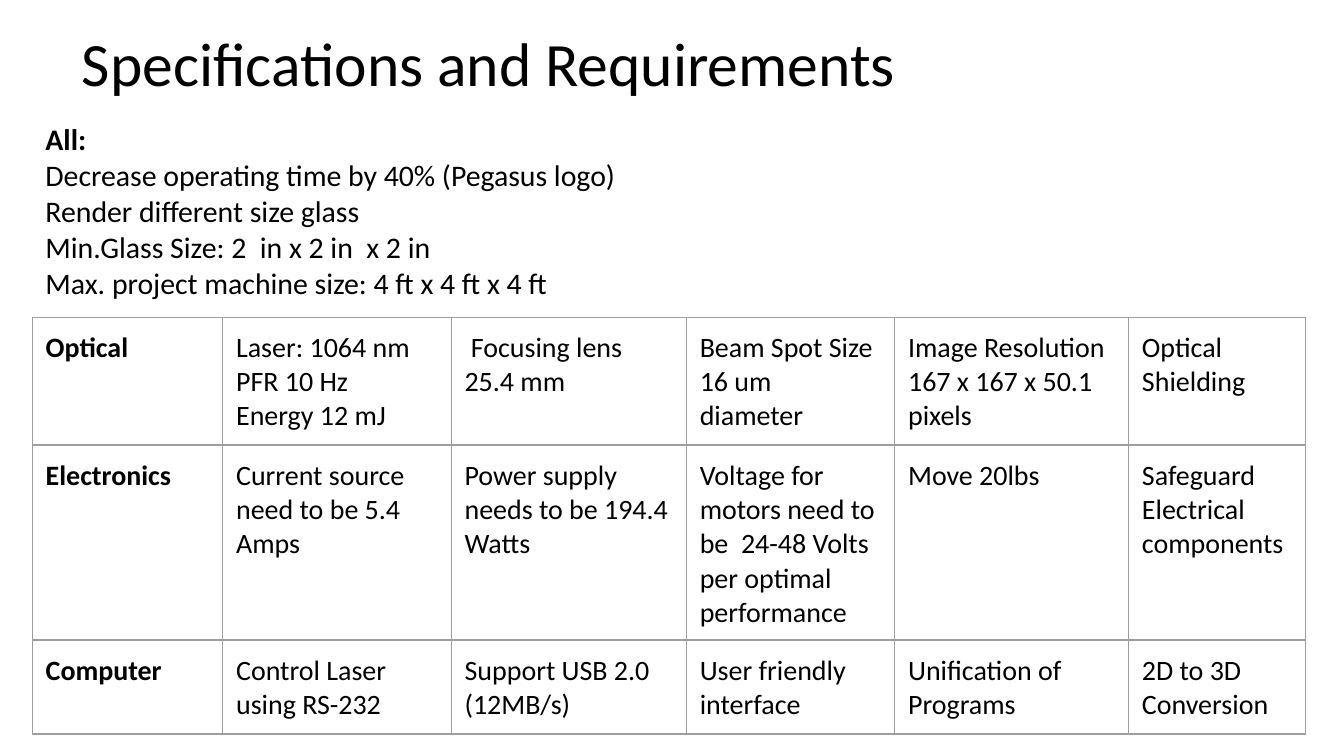
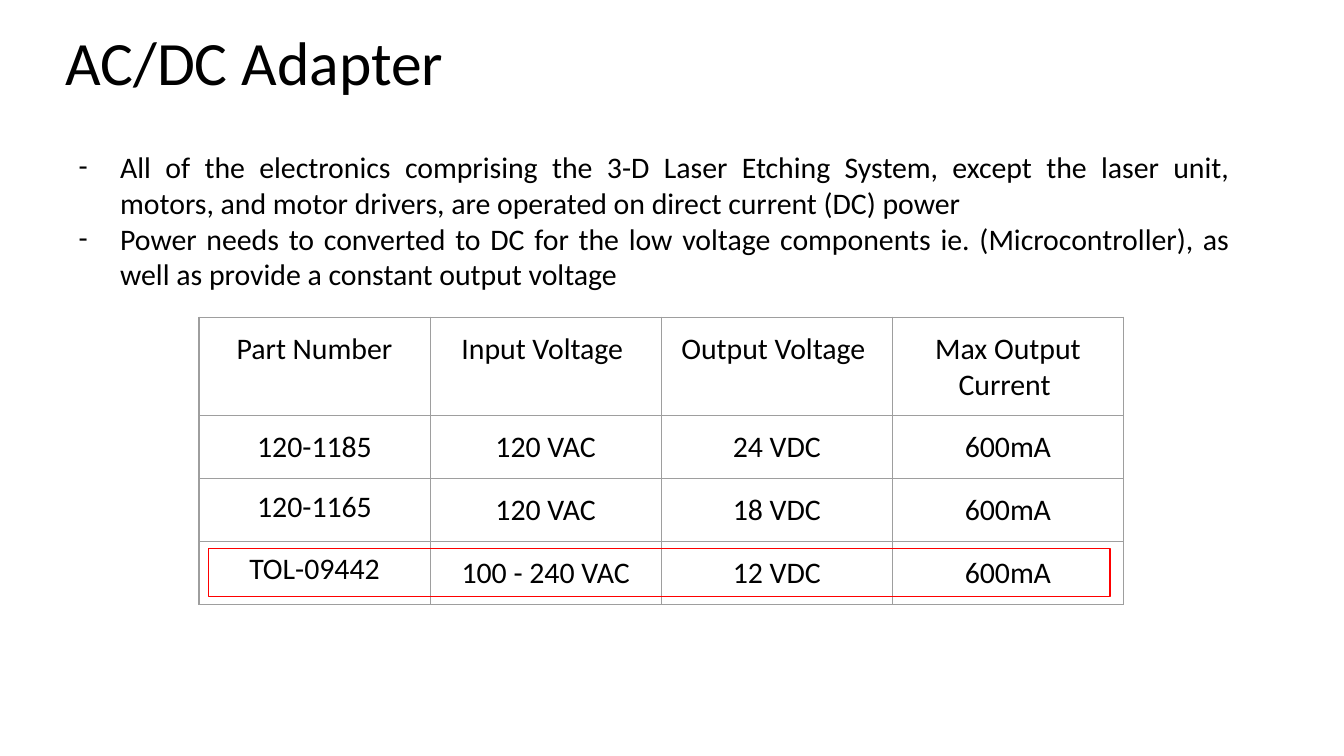
from lxml import etree
from pptx import Presentation
from pptx import util as u
from pptx.dml import color
from pptx.enum import shapes, text
from pptx.oxml import ns

FONT = "Calibri"
INK = "000000"
GRID = "9E9E9E"
HIGHLIGHT = "FF0000"
WIDE_INSET = 7.2
SLIM_INSET = 5.4
TABLE_TOP = 170

SHARED_REQUIREMENTS = [
    "All:",
    "Decrease operating time by 40% (Pegasus logo)",
    "Render different size glass",
    "Min.Glass Size: 2  in x 2 in  x 2 in",
    "Max. project machine size: 4 ft x 4 ft x 4 ft",
]
SPECIFICATIONS = [
    ["Optical", "Laser: 1064 nm\vPFR 10 Hz\vEnergy 12 mJ", " Focusing lens\n25.4 mm",
     "Beam Spot Size\v16 um diameter", "Image Resolution 167 x 167 x 50.1 pixels",
     "Optical Shielding"],
    ["Electronics", "Current source need to be 5.4 Amps",
     "Power supply needs to be 194.4 Watts",
     "Voltage for motors need to be  24-48 Volts per optimal performance",
     "Move 20lbs", "Safeguard Electrical components"],
    ["Computer", "Control Laser using RS-232", "Support USB 2.0 (12MB/s)",
     "User friendly interface", "Unification of Programs", "2D to 3D Conversion"],
]
POWER_NOTES = [
    "All of the electronics comprising the 3-D Laser Etching System, except the laser unit, "
    "motors, and motor drivers, are operated on direct current (DC) power",
    "Power needs to converted to DC for the low voltage components ie. (Microcontroller), "
    "as well as provide a constant output voltage ",
]
ADAPTERS = [
    ["Part Number", "Input Voltage ", "Output Voltage ", "Max Output Current "],
    ["120-1185", "120 VAC", "24 VDC", "600mA"],
    ["120-1165", "120 VAC", "18 VDC", "600mA"],
    ["TOL-09442", "100 - 240 VAC", "12 VDC", "600mA"],
]


def rgb(code):
    """Return the colour for a hex string."""
    return color.RGBColor.from_string(code)


def set_insets(holder, inset):
    """Give a text frame or a cell the same margin on every side."""
    holder.margin_left = holder.margin_right = u.Pt(inset)
    holder.margin_top = holder.margin_bottom = u.Pt(inset)


def style_paragraph(paragraph, size, bold=False, align=text.PP_ALIGN.LEFT):
    """Set the alignment of a paragraph and the font of its runs."""
    paragraph.alignment = align
    for run in paragraph.runs:
        run.font.name = FONT
        run.font.size = u.Pt(size)
        run.font.bold = bold
        run.font.color.rgb = rgb(INK)


def add_text(slide, box, lines, size, inset, align=text.PP_ALIGN.LEFT):
    """Add a wrapped text box with one paragraph per line and return its frame."""
    frame = slide.shapes.add_textbox(*map(u.Pt, box)).text_frame
    frame.word_wrap = True
    set_insets(frame, inset)
    frame.text = "\n".join(lines)
    for paragraph in frame.paragraphs:
        style_paragraph(paragraph, size, align=align)
    return frame


def add_title(slide, box, wording):
    """Add a slide title."""
    title = add_text(slide, box, [wording], 33, SLIM_INSET, text.PP_ALIGN.CENTER)
    title.vertical_anchor = text.MSO_ANCHOR.MIDDLE
    title.paragraphs[0].line_spacing = 0.9


def add_dash(paragraph):
    """Give a paragraph a hanging dash as its bullet."""
    properties = paragraph._p.get_or_add_pPr()
    properties.set("marL", str(u.Pt(40.3)))
    properties.set("indent", str(u.Pt(-22.3)))
    bullet_color = etree.SubElement(properties, ns.qn("a:buClr"))
    etree.SubElement(bullet_color, ns.qn("a:srgbClr"), val=INK)
    etree.SubElement(properties, ns.qn("a:buFont"), typeface=FONT)
    etree.SubElement(properties, ns.qn("a:buChar"), char="-")


def add_borders(cell):
    """Draw a thin grid line on each side of a cell."""
    properties = cell._tc.get_or_add_tcPr()
    for position, side in enumerate(("a:lnL", "a:lnR", "a:lnT", "a:lnB")):
        border = etree.Element(ns.qn(side), w=str(u.Pt(0.75)))
        fill = etree.SubElement(border, ns.qn("a:solidFill"))
        etree.SubElement(fill, ns.qn("a:srgbClr"), val=GRID)
        properties.insert(position, border)


def add_grid(slide, box, rows, widths, heights, size, align, bold_first=False):
    """Add an unfilled table with grid lines and return it."""
    holder = slide.shapes.add_table(len(rows), len(widths), *map(u.Pt, box))
    grid = holder.table
    grid.first_row = grid.horz_banding = False
    for column, width in zip(grid.columns, widths):
        column.width = u.Pt(width)
    for row, height, wordings in zip(grid.rows, heights, rows):
        row.height = u.Pt(height)
        for index, (cell, wording) in enumerate(zip(row.cells, wordings)):
            cell.text_frame.text = wording
            set_insets(cell, WIDE_INSET)
            cell.fill.background()
            add_borders(cell)
            for paragraph in cell.text_frame.paragraphs:
                style_paragraph(paragraph, size, bold_first and index == 0, align)
    holder.height = u.Pt(box[3])
    return grid


def add_highlight(slide, box):
    """Frame the chosen table row."""
    frame = slide.shapes.add_shape(shapes.MSO_SHAPE.RECTANGLE, *map(u.Pt, box))
    frame.shadow.inherit = False
    frame.fill.background()
    frame.line.color.rgb = rgb(HIGHLIGHT)
    frame.line.width = u.Pt(0.75)


def build_specifications(slide):
    """Build the slide on specifications and requirements."""
    add_title(slide, (17.3, 13, 489, 45.4), "Specifications and Requirements")
    add_grid(slide, (17.3, TABLE_TOP, 682, 223), SPECIFICATIONS,
             (102, 122.4, 126, 111.6, 125.3, 95), (31.7, 58.3, 37.4),
             15, text.PP_ALIGN.LEFT, bold_first=True)
    requirements = add_text(slide, (17.3, 57.6, 350.6, 106.6),
                            SHARED_REQUIREMENTS, 16, WIDE_INSET)
    requirements.paragraphs[0].runs[0].font.bold = True


def build_adapter(slide):
    """Build the slide on the AC/DC adapter."""
    add_title(slide, (24.5, 10.8, 231, 48.2), "AC/DC Adapter ")
    notes = add_text(slide, (18.7, 74.2, 645.8, 249.8), POWER_NOTES, 16,
                     SLIM_INSET, text.PP_ALIGN.JUSTIFY)
    for paragraph in notes.paragraphs:
        add_dash(paragraph)
    adapters = add_grid(slide, (106.6, TABLE_TOP, 495.4, 153.4), ADAPTERS,
                        [123.84] * 4, [30.2] * 4, 16, text.PP_ALIGN.CENTER)
    for row in range(1, len(ADAPTERS)):
        part = adapters.cell(row, 0)
        part.text_frame.paragraphs[0].space_after = u.Pt(6)
        if row > 1:
            set_insets(part, SLIM_INSET)
    add_highlight(slide, (111.6, 293.8, 483.1, 25.9))


def main():
    """Build both slides and save them."""
    deck = Presentation()
    deck.slide_width, deck.slide_height = u.Pt(720), u.Pt(405)
    for build in (build_specifications, build_adapter):
        build(deck.slides.add_slide(deck.slide_layouts[6]))
    deck.save("out.pptx")


if __name__ == "__main__":
    main()
